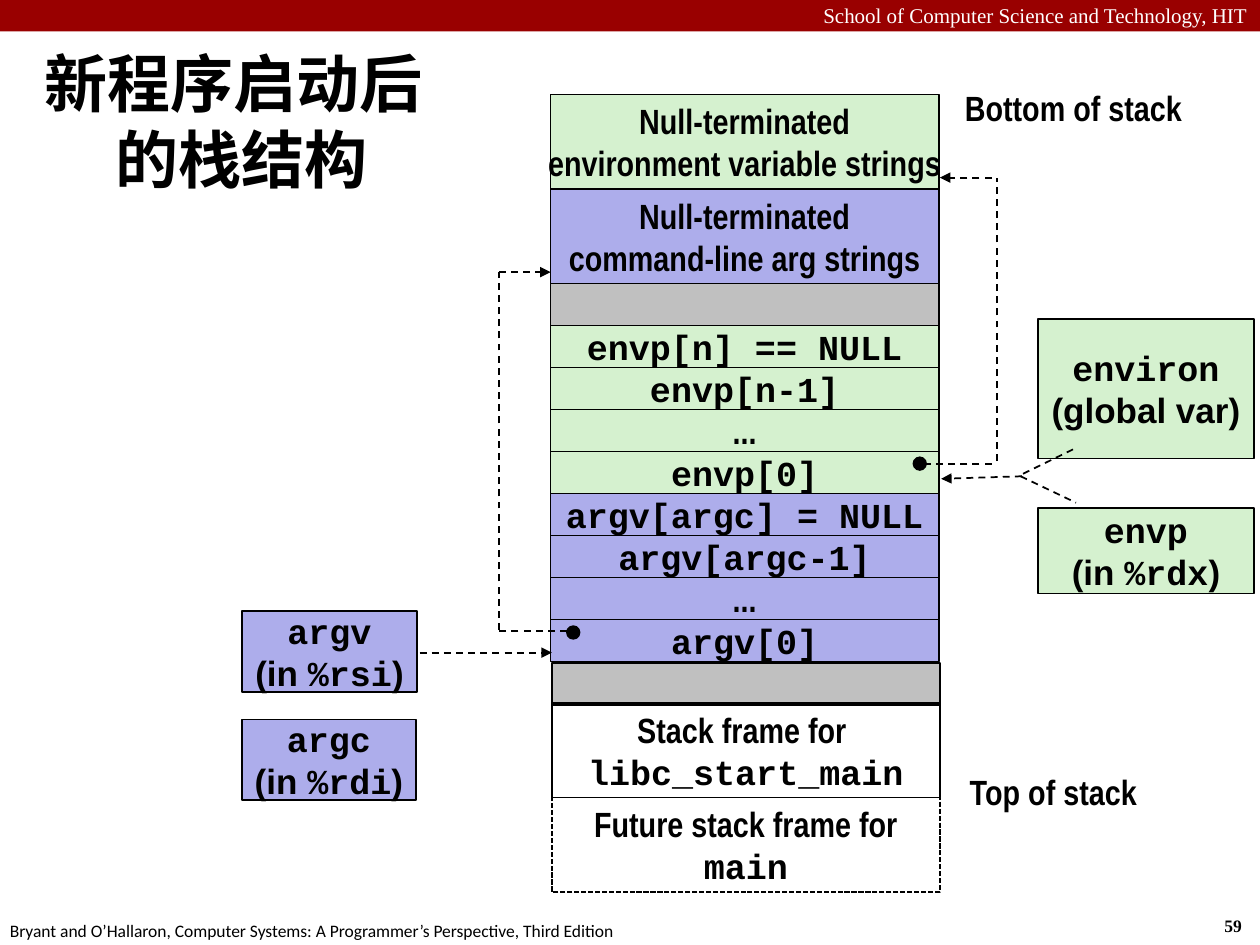
from pptx import Presentation
from pptx.dml.color import RGBColor
from pptx.enum.dml import MSO_LINE as Dash
from pptx.enum.shapes import MSO_CONNECTOR as Connector, MSO_SHAPE as Shape
from pptx.enum.text import MSO_ANCHOR as Anchor, PP_ALIGN as Align
from pptx.oxml.ns import qn
from pptx.util import Inches, Pt
from lxml.etree import SubElement

COLORS = {"red": "990000", "white": "FFFFFF", "black": "000000",
          "green": "D5F1CF", "violet": "ADADEB", "gray": "C0C0C0"}
NARROW, MONO, SANS = "Arial Narrow", "Courier New", "Arial"
SERIF, BODY = "Times New Roman", "Calibri"


class SlideBuilder:
    """Hold the slide and its style, and draw each kind of element."""

    def __init__(self, slide):
        self.slide = slide

    def color(self, name):
        return RGBColor.from_string(COLORS[name])

    def add_runs(self, shape, paragraphs, size=20, bold=True, color="black",
                 align=Align.CENTER, anchor=Anchor.MIDDLE, wrap=False):
        frame = shape.text_frame
        frame.word_wrap = wrap
        frame.vertical_anchor = anchor
        for index, runs in enumerate(paragraphs):
            paragraph = frame.add_paragraph() if index else frame.paragraphs[0]
            paragraph.alignment = align
            for text, font_name in runs:
                run = paragraph.add_run()
                run.text = text
                run.font.name = font_name
                run.font.size = Pt(size)
                run.font.bold = bold
                run.font.color.rgb = self.color(color)

    def title(self, text, left, top, width, height):
        title = self.slide.shapes.title
        title.left, title.top = Inches(left), Inches(top)
        title.width, title.height = Inches(width), Inches(height)
        self.add_runs(title, [[(text, BODY)]], size=36, wrap=True)
        properties = title.text_frame.paragraphs[0]._p.get_or_add_pPr()
        properties.set("marL", str(Inches(0.13)))
        properties.set("indent", str(Inches(-0.13)))

    def text(self, text, font_name, left, top, width, height, **style):
        box = self.slide.shapes.add_textbox(
            Inches(left), Inches(top), Inches(width), Inches(height))
        self.add_runs(box, [[(text, font_name)]], **style)

    def shape(self, left, top, width, height, fill=None, paragraphs=(),
              kind=Shape.RECTANGLE, line="black", dash=None, wrap=False):
        shape = self.slide.shapes.add_shape(
            kind, Inches(left), Inches(top), Inches(width), Inches(height))
        shape.shadow.inherit = False
        if fill:
            shape.fill.solid()
            shape.fill.fore_color.rgb = self.color(fill)
        else:
            shape.fill.background()
        if line:
            shape.line.color.rgb = self.color(line)
            shape.line.width = Pt(1)
        else:
            shape.line.fill.background()
        if dash:
            shape.line.dash_style = dash
        self.add_runs(shape, paragraphs, wrap=wrap)

    def dot(self, left, top):
        self.shape(left, top, 0.1, 0.1, "black", kind=Shape.OVAL)

    def line(self, start, end, arrow=False):
        connector = self.slide.shapes.add_connector(
            Connector.STRAIGHT, *map(Inches, start + end))
        connector.line.color.rgb = self.color("black")
        connector.line.width = Pt(1)
        connector.line.dash_style = Dash.DASH
        if arrow:
            SubElement(connector.line._ln, qn("a:tailEnd"), type="triangle")
        SubElement(connector._element.spPr, qn("a:effectLst"))


def register_label(name, register):
    return [[(name, MONO)], [("(in ", SANS), (register, MONO), (")", SANS)]]


def draw_stack(builder):
    left, width, row = 4.37, 3.08, 1 / 3
    strings = [("environment variable strings", "green"),
               ("command-line arg strings", "violet")]
    for index, (text, fill) in enumerate(strings):
        builder.shape(left, 0.75 * (index + 1), width, 0.75, fill,
                      [[("Null-terminated", NARROW)], [(text, NARROW)]])

    cells = [(None, "gray"), ("envp[n] == NULL", "green"),
             ("envp[n-1]", "green"), ("...", "green"), ("envp[0]", "green"),
             ("argv[argc] = NULL", "violet"), ("argv[argc-1]", "violet"),
             ("...", "violet"), ("argv[0]", "violet")]
    for index, (text, fill) in enumerate(cells):
        font_name = NARROW if text == "..." else MONO
        builder.shape(left, 2.25 + index * row, width, row, fill,
                      [[(text, font_name)]] if text else ())

    builder.shape(4.38, 5.26, width, row, "gray")
    frames = [("Stack frame for ", "libc_start_main", None),
              ("Future stack frame for", "main", Dash.SQUARE_DOT)]
    for index, (text, function, dash) in enumerate(frames):
        builder.shape(4.38, 5.58 + 0.75 * index, width, 0.75, None,
                      [[(text, NARROW)], [(function, MONO)]], dash=dash)
    builder.text("Bottom of stack", NARROW, 7.55, 0.63, 1.94, 0.44)
    builder.text("Top of stack", NARROW, 7.58, 6.06, 1.56, 0.44)


def draw_pointers(builder):
    builder.shape(8.24, 2.53, 1.71, 1.11, "green",
                  [[("environ", MONO)], [("(global var)", SANS)]], wrap=True)
    builder.shape(8.24, 4.03, 1.71, 0.68, "green",
                  register_label("envp", "%rdx"), wrap=True)
    builder.shape(1.92, 4.85, 1.39, 0.64, "violet",
                  register_label("argv", "%rsi"))
    builder.shape(1.92, 5.71, 1.38, 0.64, "violet",
                  register_label("argc", "%rdi"))

    lines = [((4.5, 5.01), (3.96, 5.01)), ((3.96, 5), (3.96, 2.16)),
             ((7.87, 3.68), (7.33, 3.68)), ((7.91, 3.66), (7.91, 1.41)),
             ((8.1, 3.78), (8.54, 3.99)), ((8.12, 3.76), (8.55, 3.55))]
    arrows = [((3.33, 5.18), (4.38, 5.18)), ((3.96, 2.16), (4.37, 2.16)),
              ((7.87, 1.41), (7.46, 1.41)), ((8.11, 3.78), (7.47, 3.8))]
    for start, end in lines:
        builder.line(start, end)
    for start, end in arrows:
        builder.line(start, end, arrow=True)
    builder.dot(4.5, 4.97)
    builder.dot(7.25, 3.63)


def main():
    presentation = Presentation()
    presentation.slide_width, presentation.slide_height = Inches(10), Inches(7.5)
    slide = presentation.slides.add_slide(presentation.slide_layouts[5])
    builder = SlideBuilder(slide)
    builder.shape(0, 0, 10, 0.25, "red", line=None)
    builder.text("School of Computer Science and Technology, HIT", SERIF,
                 0, -0.03, 10, 0.3, size=12, bold=False, color="white",
                 align=Align.RIGHT, anchor=Anchor.TOP, wrap=True)
    builder.text("59", SERIF, 9.62, 7.21, 0.37, 0.27, size=10,
                 align=Align.LEFT, anchor=Anchor.TOP)
    builder.text("Bryant and O’Hallaron, Computer Systems: "
                 "A Programmer’s Perspective, Third Edition", BODY,
                 -0.02, 7.25, 5.08, 0.27, size=10, bold=False,
                 align=Align.LEFT, anchor=Anchor.TOP)
    builder.title("新程序启动后的栈结构", 0.07, 0.32, 3.57, 1.27)
    draw_stack(builder)
    draw_pointers(builder)
    presentation.save("out.pptx")


if __name__ == "__main__":
    main()
